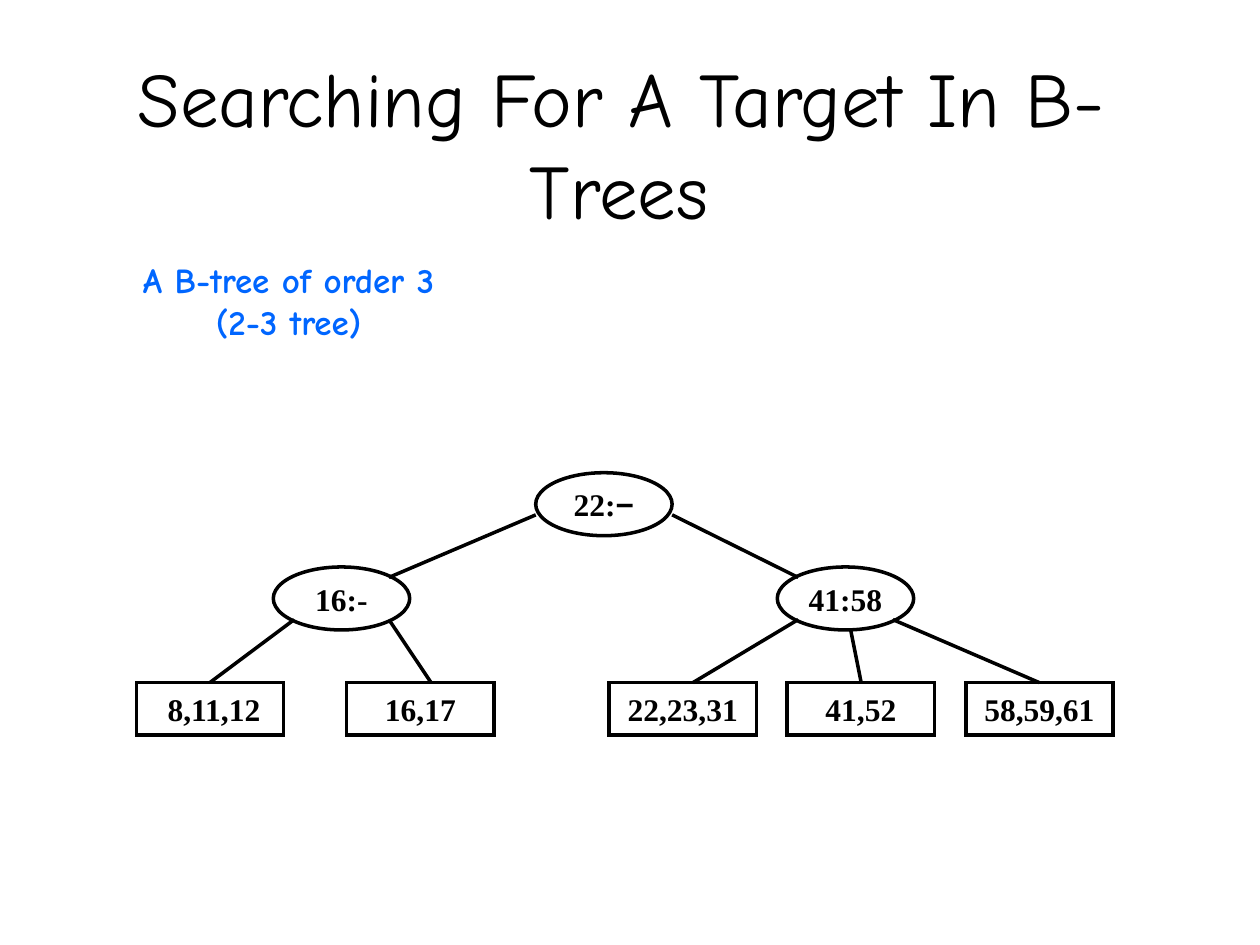
from lxml.etree import SubElement
from pptx import Presentation
from pptx.dml.color import RGBColor
from pptx.enum.shapes import MSO_CONNECTOR, MSO_SHAPE
from pptx.enum.text import MSO_ANCHOR, PP_ALIGN
from pptx.oxml.ns import qn
from pptx.util import Cm, Pt

BLACK, WHITE, BLUE = "000000", "FFFFFF", "0066FF"
HEADING_FONT, NODE_FONT, SIGN_FONT = "Comic Neue", "Times New Roman", "Arial"
NODE_SIZE = (2.75, 1.27)
LEAF_SIZE = (2.97, 1.06)
NODE_TOP, LEAF_TOP = 1.9, 4.23

ROOT_LEFT = 8.05
ROOT_EXIT_TOP, NODE_ENTRY_TOP = 0.85, 0.21
BRANCHES = [
    (2.76, "16:-", (0, 2.33), [
        (0, " 8,11,12", None, (0.42, 1.06), 1.48),
        (4.24, "16,17", WHITE, (2.33, 1.06), 1.7),
    ]),
    (12.92, "41:58", (2.75, 0.42), [
        (9.53, "22,23,31", None, (0.42, 1.06), 1.69),
        (13.12, "41,52", None, (1.48, 1.27), 1.49),
        (16.72, "58,59,61", None, (2.33, 1.06), 1.48),
    ]),
]


def color(value):
    return RGBColor.from_string(value)


def style(para, name, size, value, bold):
    para.alignment = PP_ALIGN.CENTER
    para.font.name = name
    para.font.size = Pt(size)
    para.font.bold = bold
    para.font.color.rgb = color(value)


def add_heading(page, left, top, width, height, lines, size, value, bold, anchor):
    box = page.shapes.add_textbox(Cm(left), Cm(top), Cm(width), Cm(height))
    frame = box.text_frame
    frame.word_wrap = True
    frame.vertical_anchor = anchor
    frame.text = "\n".join(lines)
    for para in frame.paragraphs:
        style(para, HEADING_FONT, size, value, bold)


def add_key_box(page, kind, left, top, size, label, fill=None):
    width, height = size
    box = page.shapes.add_shape(kind, Cm(left), Cm(top), Cm(width), Cm(height))
    box.shadow.inherit = False
    if fill:
        box.fill.solid()
        box.fill.fore_color.rgb = color(fill)
    else:
        box.fill.background()
    box.line.color.rgb = color(BLACK)
    box.line.width = Pt(2)
    SubElement(box.line._get_or_add_ln(), qn("a:miter"), lim="800000")
    frame = box.text_frame
    frame.word_wrap = False
    frame.vertical_anchor = MSO_ANCHOR.MIDDLE
    para = frame.paragraphs[0]
    para.add_run().text = label
    style(para, NODE_FONT, 18, BLACK, True)
    return para


def add_edge(page, start_x, start_y, end_x, end_y):
    edge = page.shapes.add_connector(
        MSO_CONNECTOR.STRAIGHT, Cm(start_x), Cm(start_y), Cm(end_x), Cm(end_y))
    edge.line.color.rgb = color(BLACK)
    edge.line.width = Pt(2)
    SubElement(edge._element.spPr, qn("a:effectLst"))


def add_tree(page, left, top):
    root_left = left + ROOT_LEFT
    para = add_key_box(page, MSO_SHAPE.OVAL, root_left, top, NODE_SIZE, "22:")
    sign = para.add_run()
    sign.text = "−"
    sign.font.name = SIGN_FONT

    for node_x, node_label, (root_exit, node_entry), leaves in BRANCHES:
        node_left, node_top = left + node_x, top + NODE_TOP
        add_key_box(page, MSO_SHAPE.OVAL, node_left, node_top, NODE_SIZE, node_label)
        add_edge(page, root_left + root_exit, top + ROOT_EXIT_TOP,
                 node_left + node_entry, node_top + NODE_ENTRY_TOP)
        for leaf_x, leaf_label, fill, (exit_x, exit_y), leaf_entry in leaves:
            leaf_left, leaf_top = left + leaf_x, top + LEAF_TOP
            add_key_box(page, MSO_SHAPE.RECTANGLE, leaf_left, leaf_top,
                        LEAF_SIZE, leaf_label, fill)
            add_edge(page, node_left + exit_x, node_top + exit_y,
                     leaf_left + leaf_entry, leaf_top)


def main():
    deck = Presentation()
    deck.slide_width, deck.slide_height = Cm(25.4), Cm(19.05)
    page = deck.slides.add_slide(deck.slide_layouts[6])
    add_heading(page, 1.27, 5.08, 9.1, 1.95, ["A B-tree of order 3", "(2-3 tree)"],
                20, BLUE, True, MSO_ANCHOR.TOP)
    add_heading(page, 1.9, 0.42, 21.17, 4.45, ["Searching For A Target In B-Trees"],
                44, BLACK, False, MSO_ANCHOR.BOTTOM)
    add_tree(page, 2.75, 9.53)
    deck.save("out.pptx")


if __name__ == "__main__":
    main()
